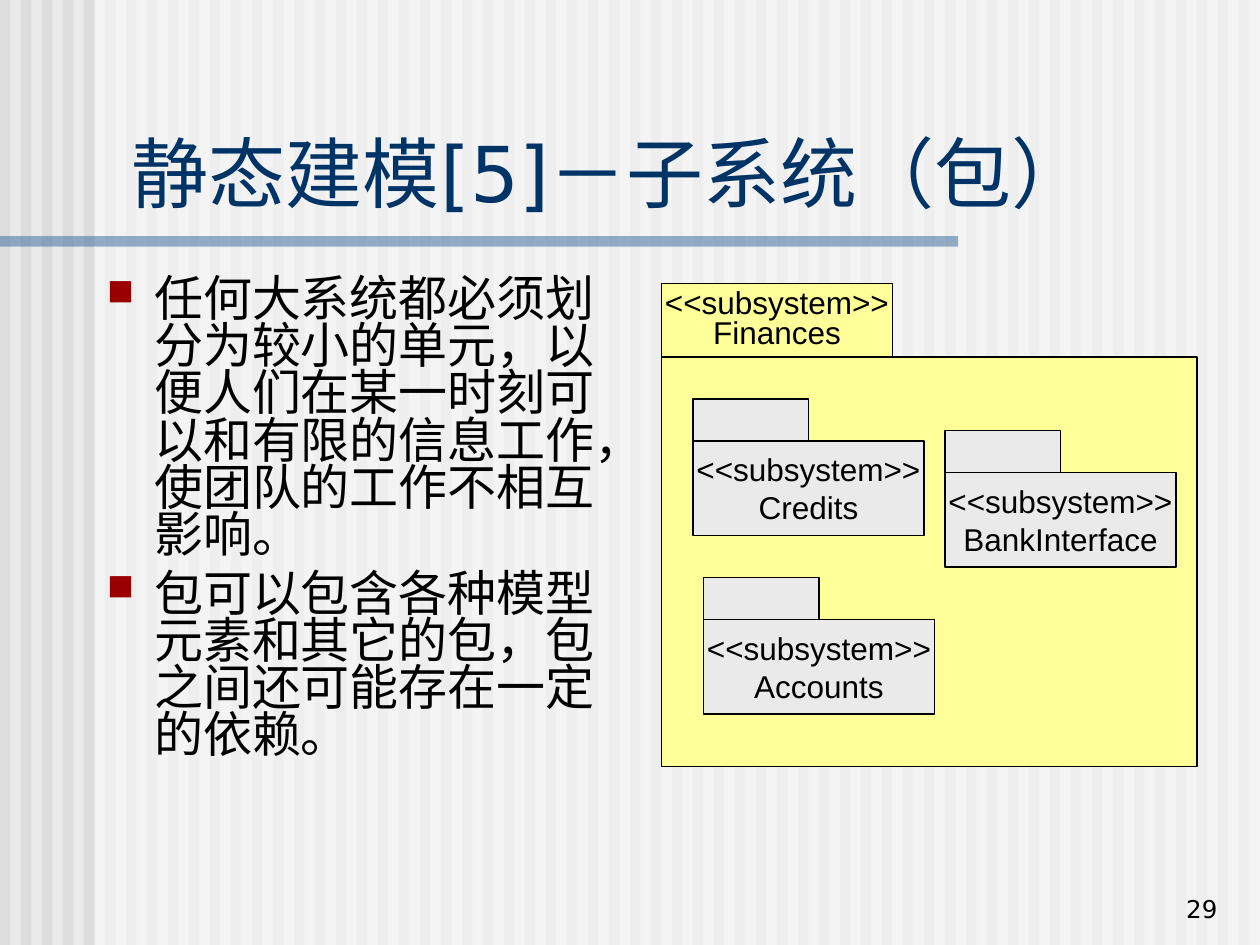
from lxml import etree
from pptx import Presentation, util as u
from pptx.dml.color import RGBColor
from pptx.enum import shapes, text
from pptx.oxml.ns import qn

PX = 9525
WIDE, HIGH = 960, 720
STRIPE = 8
TAB = 32
SANS, ARIAL = "DejaVu Sans", "Arial"
BLACK = RGBColor(0, 0, 0)
WHITE = RGBColor(255, 255, 255)
PALE = RGBColor(0xEA, 0xEA, 0xEA)
GREY = RGBColor(0xDD, 0xDD, 0xDD)
BLUE = RGBColor(0x33, 0x66, 0x99)
NAVY = RGBColor(0x00, 0x33, 0x66)
YELLOW = RGBColor(0xFF, 0xFF, 0x99)
RED = RGBColor(0x9A, 0x00, 0x00)
ALIGN = text.PP_ALIGN
ANCHOR = text.MSO_ANCHOR

POINTS = [
    "任何大系统都必须划分为较小的单元，以便人们在某一时刻可以和有限的信息工作，使团队的工作不相互影响。",
    "包可以包含各种模型元素和其它的包，包之间还可能存在一定的依赖。",
]
PACKS = [("Credits", 528, 304), ("Accounts", 536, 440), ("BankInterface", 720, 328)]


def emu(*sizes):
    return [size * PX for size in sizes]


def add_rect(slide, box, fill, line=None, alpha=None):
    rect = slide.shapes.add_shape(shapes.MSO_SHAPE.RECTANGLE, *emu(*box))
    rect.shadow.inherit = False
    rect.fill.solid()
    rect.fill.fore_color.rgb = fill
    if line is None:
        rect.line.fill.background()
    else:
        rect.line.color.rgb = line
        rect.line.width = u.Pt(1)
    if alpha:
        color = rect.fill._xPr.find(qn("a:solidFill"))[0]
        etree.SubElement(color, qn("a:alpha"), val=str(alpha * 1000))
    return rect


def set_text(frame, lines, size, font, color, align, anchor, space=None):
    frame.text = "\n".join(lines)
    frame.vertical_anchor = anchor
    for para in frame.paragraphs:
        para.alignment = align
        if space:
            para.line_spacing = space
        for run in para.runs:
            run.font.size = u.Pt(size)
            run.font.name = font
            run.font.color.rgb = color


def add_text(slide, box, lines, size, color, align, anchor, space=None):
    frame = slide.shapes.add_textbox(*emu(*box)).text_frame
    frame.word_wrap = True
    set_text(frame, lines, size, SANS, color, align, anchor, space)
    return frame


def add_bullet(para):
    para.space_before = u.Pt(7)
    props = para._p.get_or_add_pPr()
    props.set("marL", str(36 * PX))
    props.set("indent", str(-36 * PX))
    color = etree.SubElement(props, qn("a:buClr"))
    etree.SubElement(color, qn("a:srgbClr"), val=str(RED))
    etree.SubElement(props, qn("a:buSzPct"), val="75000")
    etree.SubElement(props, qn("a:buChar"), char="■")


def add_label(slide, box, name, fill, space=None):
    frame = add_rect(slide, box, fill, BLACK).text_frame
    frame.word_wrap = False
    set_text(frame, ["<<subsystem>>", name], 18, ARIAL, BLACK,
             ALIGN.CENTER, ANCHOR.MIDDLE, space)


def add_pack(slide, name, left, top):
    add_label(slide, (left, top + TAB, 176, 72), name, PALE)
    add_rect(slide, (left, top, 88, TAB), PALE, BLACK)


def add_back(slide):
    slide.background.fill.solid()
    slide.background.fill.fore_color.rgb = PALE
    for left in range(0, WIDE, 2 * STRIPE):
        add_rect(slide, (left, 0, STRIPE, HIGH), GREY)
    add_rect(slide, (72, 0, WIDE - 72, HIGH), WHITE, alpha=50)
    add_rect(slide, (0, 180, 730, 8), BLUE, alpha=50)


def main():
    deck = Presentation()
    deck.slide_width, deck.slide_height = emu(WIDE, HIGH)
    slide = deck.slides.add_slide(deck.slide_layouts[6])
    add_back(slide)
    add_text(slide, (91, 90, 857, 81), ["静态建模[5]－子系统（包）"], 44, NAVY,
             ALIGN.LEFT, ANCHOR.BOTTOM)
    body = add_text(slide, (72, 208, 408, 416), POINTS, 28, BLACK,
                    ALIGN.LEFT, ANCHOR.TOP, 0.8)
    for para in body.paragraphs:
        add_bullet(para)
    add_rect(slide, (504, 272, 408, 312), YELLOW, BLACK)
    add_label(slide, (504, 216, 176, 56), "Finances", YELLOW, 0.8)
    for pack in PACKS:
        add_pack(slide, *pack)
    add_text(slide, (737, 660, 200, 48), ["29"], 14, BLACK,
             ALIGN.RIGHT, ANCHOR.BOTTOM)
    deck.save("out.pptx")


if __name__ == "__main__":
    main()
